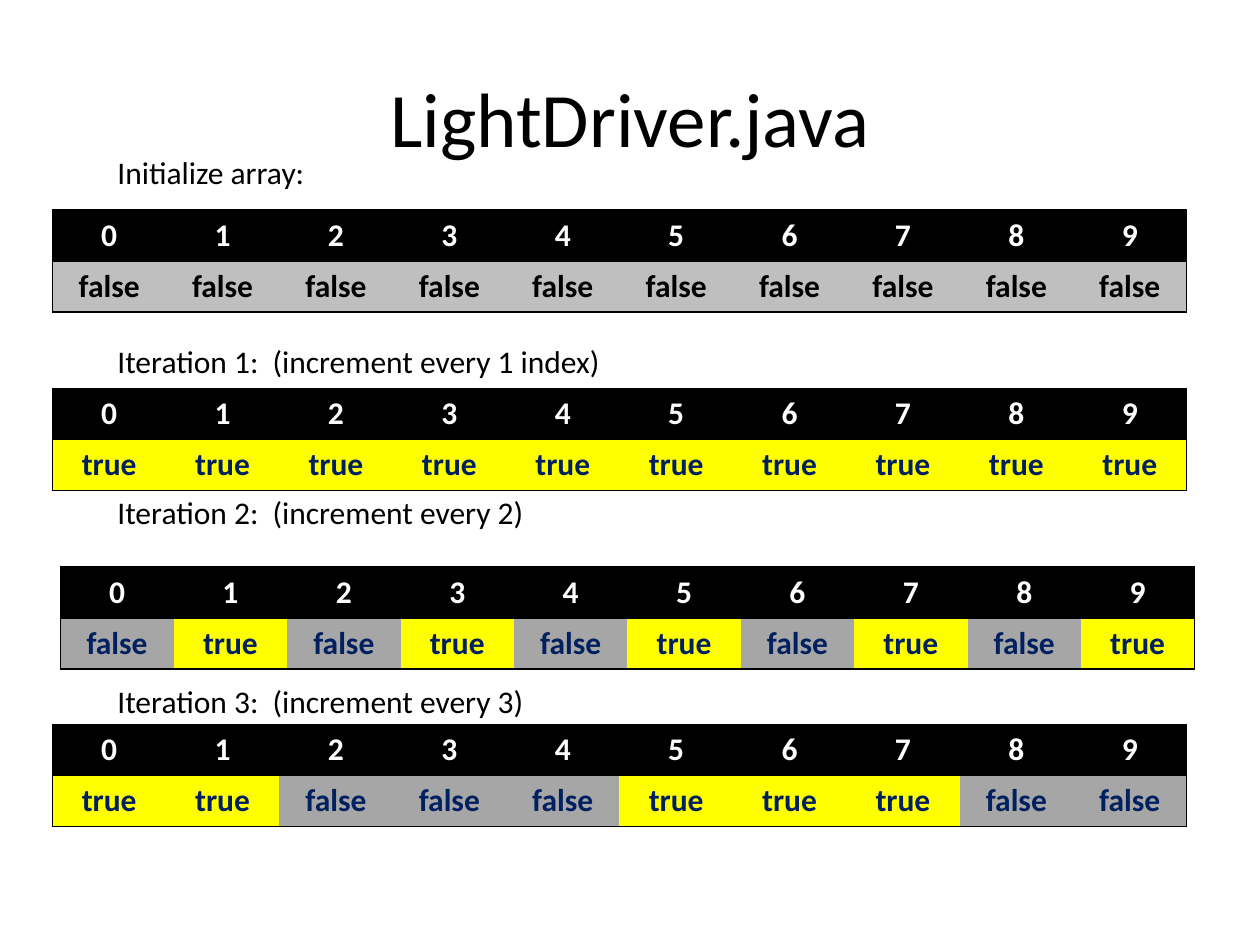
import pptx
import pptx.dml.color
import pptx.enum.text
import pptx.oxml
import pptx.oxml.ns
import pptx.util

Pt = pptx.util.Pt
RGBColor = pptx.dml.color.RGBColor
PP_ALIGN = pptx.enum.text.PP_ALIGN
MSO_ANCHOR = pptx.enum.text.MSO_ANCHOR

BLACK = RGBColor(0x00, 0x00, 0x00)
WHITE = RGBColor(0xFF, 0xFF, 0xFF)
SILVER = RGBColor(0xBF, 0xBF, 0xBF)
GRAY = RGBColor(0xA6, 0xA6, 0xA6)
YELLOW = RGBColor(0xFF, 0xFF, 0x00)
NAVY = RGBColor(0x00, 0x20, 0x60)

TITLE = "LightDriver.java"
LIGHTS = 10
STAGES = [
    dict(label="Initialize array:", step=None, left=30, top=120, gap=0, off=SILVER, ink=BLACK),
    dict(label="Iteration 1:  (increment every 1 index)", step=1, left=30, top=222, gap=4, off=GRAY, ink=NAVY),
    dict(label="Iteration 2:  (increment every 2)", step=2, left=34.5, top=324, gap=3, off=GRAY, ink=NAVY),
    dict(label="Iteration 3:  (increment every 3)", step=3, left=30, top=414, gap=4, off=GRAY, ink=NAVY),
]
LINE_H = 21.6
COL_W = 64.8
ROW_H = 29.2
NO_STYLE = "{2D5ABB26-0587-4C30-8999-92F81FD0307C}"


def write(p, text, size=18, color=BLACK, bold=False, align=PP_ALIGN.LEFT, before=0):
    p.alignment = align
    p.space_before = Pt(before)
    r = p.add_run()
    r.text = text
    r.font.name = "Calibri"
    r.font.size = Pt(size)
    r.font.bold = bold
    r.font.color.rgb = color


def add_border(cell, side):
    cell._tc.get_or_add_tcPr().append(pptx.oxml.parse_xml(
        f'<a:ln{side} {pptx.oxml.ns.nsdecls("a")} w="{Pt(1)}">'
        f'<a:solidFill><a:srgbClr val="{BLACK}"/></a:solidFill></a:ln{side}>'))


def add_array(s, lights, stage):
    frame = s.shapes.add_table(2, LIGHTS, Pt(stage["left"]), Pt(stage["top"]),
                               Pt(COL_W * LIGHTS), Pt(ROW_H * 2))
    table = frame.table
    table._tbl.tblPr.find(pptx.oxml.ns.qn("a:tableStyleId")).text = NO_STYLE
    table.horz_banding = False
    for row in table.rows:
        row.height = Pt(ROW_H)
    for i, lit in enumerate(lights):
        table.columns[i].width = Pt(COL_W)
        column = [
            (str(i), WHITE, BLACK),
            (str(lit).lower(), stage["ink"], YELLOW if lit else stage["off"]),
        ]
        for row, (text, ink, fill) in enumerate(column):
            cell = table.cell(row, i)
            sides = "L" * (i == 0) + "R" * (i == LIGHTS - 1) + "TB"
            for side in sides:
                add_border(cell, side)
            cell.fill.solid()
            cell.fill.fore_color.rgb = fill
            write(cell.text_frame.paragraphs[0], text, color=ink, bold=True, align=PP_ALIGN.CENTER)


def main():
    prs = pptx.Presentation()
    prs.slide_width, prs.slide_height = Pt(720), Pt(540)
    s = prs.slides.add_slide(prs.slide_layouts[5])

    sp = s.shapes.title
    sp.left, sp.top, sp.width, sp.height = Pt(36), Pt(21.6), Pt(648), Pt(90)
    sp.text_frame.vertical_anchor = MSO_ANCHOR.MIDDLE
    write(sp.text_frame.paragraphs[0], TITLE, size=44, align=PP_ALIGN.CENTER)

    tf = s.shapes.add_textbox(Pt(60), Pt(84), Pt(624), Pt(422)).text_frame
    tf.word_wrap = True

    lights = [False] * LIGHTS
    for n, stage in enumerate(STAGES):
        p = tf.add_paragraph() if n else tf.paragraphs[0]
        write(p, stage["label"], before=stage["gap"] * LINE_H)
        if stage["step"]:
            for i in range(0, LIGHTS, stage["step"]):
                lights[i] = not lights[i]
        add_array(s, lights, stage)

    prs.save("out.pptx")


if __name__ == "__main__":
    main()
